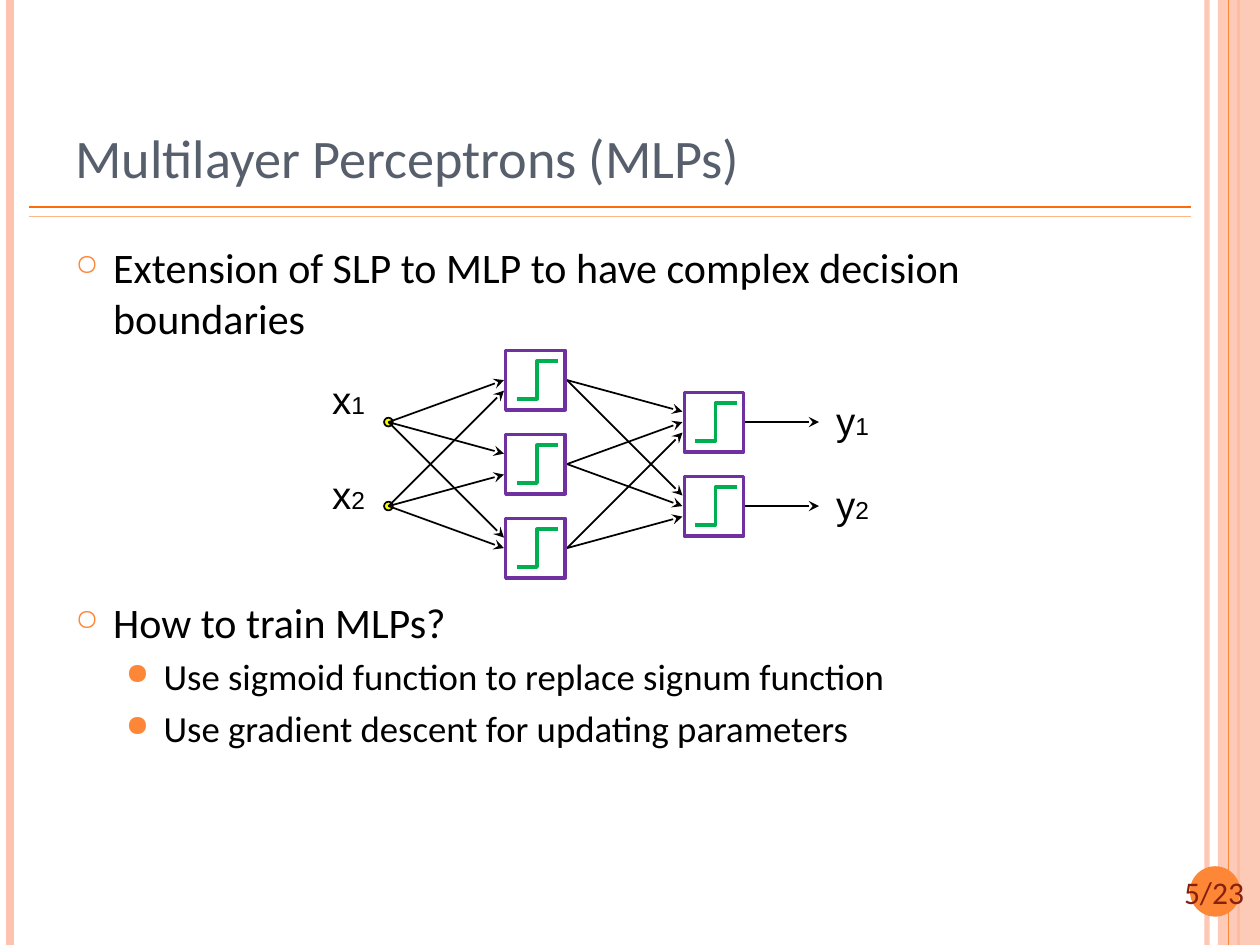
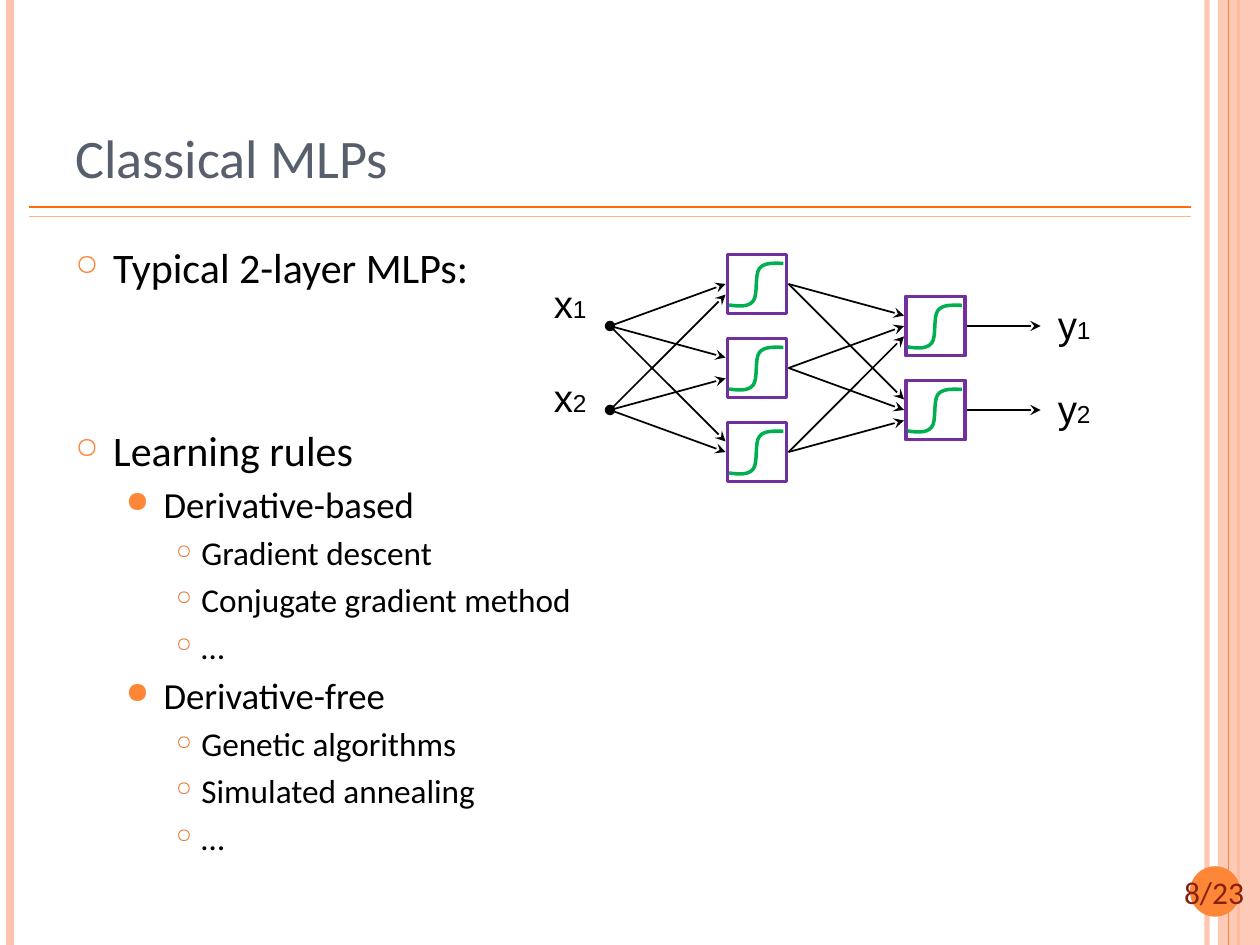
from dataclasses import dataclass
from typing import Any

from lxml.etree import SubElement
from pptx import Presentation
from pptx.dml.color import RGBColor
from pptx.enum.shapes import MSO_CONNECTOR, MSO_SHAPE
from pptx.enum.text import MSO_ANCHOR, PP_ALIGN
from pptx.oxml.ns import qn
from pptx.util import Pt

WIDTH, HEIGHT = 720, 540
BLACK, ORANGE, PEACH = "000000", "FE8637", "FEC3AE"
SLATE, RUST, PURPLE, GREEN = "575F6D", "862110", "7030A0", "00B050"
HEADING_FONT, LABEL_FONT = "Calibri", "Arial"

PITCH, CELL, BOX = 48, 36, 34
LANDING = 6
HIDDEN_X, OUTPUT_X, ARROW_LENGTH = 66, 168, 42
INPUT_LANDINGS = ((0, -LANDING, -LANDING), (LANDING, LANDING, 0))

STEP = ((0, 21.6), (11.7, 21.6), (11.7, 0), (23.8, 0))
SIGMOID = ((0, 23.8), (5, 24.5), (10.8, 25.2), (13.7, 21.6), (16.6, 18),
           (14.4, 6.5), (17.3, 2.9), (20.2, -0.7), (25.9, 0), (31, 0))


@dataclass
class Rule:
    start: tuple[float, float]
    end: tuple[float, float]
    color: str
    weight: float
    opacity: int = 100


@dataclass
class Level:
    size: float
    indent: float
    hang: float
    before: float
    bullet: str
    bullet_color: str
    bullet_percent: int


@dataclass
class Point:
    text: str
    level: int = 0
    gap: float = 0


@dataclass
class Network:
    left: float
    top: float
    input_color: str
    curve: tuple[tuple[float, float], ...]
    curve_offset: tuple[float, float]
    curved: bool = False


@dataclass
class Lesson:
    title: str
    page: str
    title_width: float
    body_width: float
    points: list[Point]
    network: Network


def vertical(x: float, color: str, weight: float, opacity: int = 100) -> Rule:
    return Rule((x, 0), (x, HEIGHT), color, weight, opacity)


def horizontal(y: float, color: str) -> Rule:
    return Rule((16.6, y), (680.4, y), color, 1)


OUTER_RULES = (vertical(689.8, PEACH, 3, 93), vertical(5.8, PEACH, 4.5),
               vertical(707.8, ORANGE, 1.5))
INNER_RULES = (vertical(702, ORANGE, 0.75), horizontal(118.1, "FF6B0A"),
               horizontal(123.8, "FEB687"))

LEVELS = (Level(24, 21.6, 21.6, 6, "○", ORANGE, 70),
          Level(21, 50.4, 21.6, 4.2, "●", ORANGE, 80),
          Level(19, 72, 14.4, 3.8, "○", "E07631", 60))

LESSONS = (
    Lesson("Multilayer Perceptrons (MLPs)", "5/23", 588, 602, [
        Point("Extension of SLP to MLP to have complex decision boundaries"),
        Point("How to train MLPs?", gap=139),
        Point("Use sigmoid function to replace signum function", 1),
        Point("Use gradient descent for updating parameters", 1),
    ], Network(222, 217.2, "FAFD00", STEP, (6.2, 6.2))),
    Lesson("Classical MLPs", "8/23", 622, 588, [
        Point("Typical 2-layer MLPs:"),
        Point("Learning rules", gap=69.5),
        Point("Derivative-based", 1),
        Point("Gradient descent", 2),
        Point("Conjugate gradient method", 2),
        Point("…", 2),
        Point("Derivative-free", 1),
        Point("Genetic algorithms", 2),
        Point("Simulated annealing", 2),
        Point("…", 2),
    ], Network(348.6, 162.3, BLACK, SIGMOID, (1.1, 5.2), True)),
)


def apply(target: Any, values: dict[str, Any]) -> None:
    for attribute, value in values.items():
        setattr(target, attribute, value)


def paint(fill: Any, color: str, opacity: int = 100) -> None:
    fill.solid()
    fill.fore_color.rgb = RGBColor.from_string(color)
    if opacity < 100:
        for tint in fill._xPr.iter(qn("a:srgbClr")):
            SubElement(tint, qn("a:alpha"), val=str(opacity * 1000))


def draw_rule(slide: Any, rule: Rule, arrow: bool = False) -> None:
    ends = [Pt(value) for value in (*rule.start, *rule.end)]
    connector = slide.shapes.add_connector(MSO_CONNECTOR.STRAIGHT, *ends)
    connector.line.width = Pt(rule.weight)
    paint(connector.line.fill, rule.color, rule.opacity)
    properties = connector._element.spPr
    if arrow:
        SubElement(properties.find(qn("a:ln")), qn("a:tailEnd"), type="stealth")
    SubElement(properties, qn("a:effectLst"))


def finish(shape: Any, fill: str = "", line: str = "", weight: float = 1,
           opacity: int = 100) -> None:
    shape.shadow.inherit = False
    if fill:
        paint(shape.fill, fill, opacity)
    else:
        shape.fill.background()
    if line:
        shape.line.width = Pt(weight)
        paint(shape.line.fill, line)
    else:
        shape.line.fill.background()


def add_preset(slide: Any, kind: MSO_SHAPE, left: float, top: float,
               width: float, height: float) -> Any:
    return slide.shapes.add_shape(kind, Pt(left), Pt(top), Pt(width), Pt(height))


def add_frame(slide: Any, left: float, top: float, width: float,
              height: float, **values: Any) -> Any:
    frame = slide.shapes.add_textbox(Pt(left), Pt(top), Pt(width), Pt(height)).text_frame
    apply(frame, {"word_wrap": True, **values})
    return frame


def write(paragraph: Any, text: str, size: float, color: str = BLACK,
          font: str = HEADING_FONT) -> None:
    run = paragraph.add_run()
    run.text = text
    apply(run.font, {"name": font, "size": Pt(size)})
    paint(run.font.fill, color)


def draw_theme(slide: Any, page: str) -> None:
    for rule in OUTER_RULES:
        draw_rule(slide, rule)
    band = add_preset(slide, MSO_SHAPE.RECTANGLE, 696, 0, 24, HEIGHT)
    finish(band, PEACH, opacity=87)
    for rule in INNER_RULES:
        draw_rule(slide, rule)
    badge = add_preset(slide, MSO_SHAPE.OVAL, 680, 495, 28.8, 28.8)
    finish(badge, ORANGE)
    number = add_frame(slide, 661, 495.4, 65.5, 29).paragraphs[0]
    number.alignment = PP_ALIGN.CENTER
    write(number, page, 18, RUST)


def draw_points(slide: Any, width: float, points: list[Point]) -> None:
    frame = add_frame(slide, 36, 134.6, width, 375)
    for index, point in enumerate(points):
        paragraph = frame.add_paragraph() if index else frame.paragraphs[0]
        level = LEVELS[point.level]
        apply(paragraph, {"level": point.level,
                          "space_before": Pt(level.before + point.gap)})
        properties = paragraph._p.get_or_add_pPr()
        properties.set("marL", str(Pt(level.indent)))
        properties.set("indent", str(-Pt(level.hang)))
        tint = SubElement(properties, qn("a:buClr"))
        SubElement(tint, qn("a:srgbClr"), val=level.bullet_color)
        SubElement(properties, qn("a:buSzPct"), val=str(level.bullet_percent * 1000))
        SubElement(properties, qn("a:buChar"), char=level.bullet)
        write(paragraph, point.text, level.size)


def draw_label(slide: Any, left: float, top: float, letter: str, index: int) -> None:
    label = add_frame(slide, left, top, 34, 25.2, word_wrap=False).paragraphs[0]
    apply(label, {"alignment": PP_ALIGN.CENTER, "line_spacing": 0.65,
                  "space_before": Pt(6.6)})
    write(label, letter, 22, font=LABEL_FONT)
    write(label, str(index), 14, font=LABEL_FONT)


def draw_curve(slide: Any, network: Network, left: float, top: float) -> None:
    corners = [(Pt(left + x), Pt(top + y)) for x, y in network.curve]
    builder = slide.shapes.build_freeform(*corners[0])
    builder.add_line_segments(corners[1:], close=False)
    activation = builder.convert_to_shape()
    finish(activation, line=GREEN, weight=2)
    if network.curved:
        segments = list(activation._element.iter(qn("a:lnTo")))
        for bend, *others in zip(segments[::3], segments[1::3], segments[2::3]):
            bend.tag = qn("a:cubicBezTo")
            for other in others:
                bend.append(other[0])
                other.getparent().remove(other)


def draw_neuron(slide: Any, network: Network, left: float, middle: float) -> None:
    box_left, box_top = left + 1, middle - BOX / 2
    neuron = add_preset(slide, MSO_SHAPE.RECTANGLE, box_left, box_top, BOX, BOX)
    finish(neuron, line=PURPLE, weight=2)
    shift_x, shift_y = network.curve_offset
    draw_curve(slide, network, box_left + shift_x, box_top + shift_y)


def draw_network(slide: Any, network: Network) -> None:
    left, top = network.left, network.top
    hidden_left, output_left = left + HIDDEN_X, left + OUTPUT_X
    hidden = [top + PITCH * row for row in range(3)]
    outer = [top + PITCH * (row + 0.5) for row in range(2)]

    def link(x: float, y: float, end_x: float, end_y: float) -> None:
        draw_rule(slide, Rule((x, y), (end_x, end_y), BLACK, 1), arrow=True)

    for row, middle in enumerate(outer):
        draw_label(slide, left - 39.8, top + 2.4 + 54 * row, "x", row + 1)
        draw_label(slide, left + 248.2, top + 14.6 + PITCH * row, "y", row + 1)
        node = add_preset(slide, MSO_SHAPE.OVAL, left - 2.5, middle - 2.5, 5, 5)
        finish(node, network.input_color, BLACK)
        for target, landing in zip(hidden, INPUT_LANDINGS[row]):
            link(left, middle, hidden_left, target + landing)
        for index, source in enumerate(hidden):
            link(hidden_left + CELL, source,
                 output_left, middle + LANDING * (index - 1))
        output_right = output_left + CELL
        link(output_right, middle, output_right + ARROW_LENGTH, middle)
        draw_neuron(slide, network, output_left, middle)
    for middle in hidden:
        draw_neuron(slide, network, hidden_left, middle)


def draw_lesson(slide: Any, lesson: Lesson) -> None:
    draw_theme(slide, lesson.page)
    draw_points(slide, lesson.body_width, lesson.points)
    title = add_frame(slide, 36, 21.6, lesson.title_width, 90,
                      vertical_anchor=MSO_ANCHOR.BOTTOM)
    write(title.paragraphs[0], lesson.title, 31, SLATE)
    draw_network(slide, lesson.network)


presentation = Presentation()
apply(presentation, {"slide_width": Pt(WIDTH), "slide_height": Pt(HEIGHT)})
for lesson in LESSONS:
    draw_lesson(presentation.slides.add_slide(presentation.slide_layouts[6]), lesson)
presentation.save("out.pptx")
